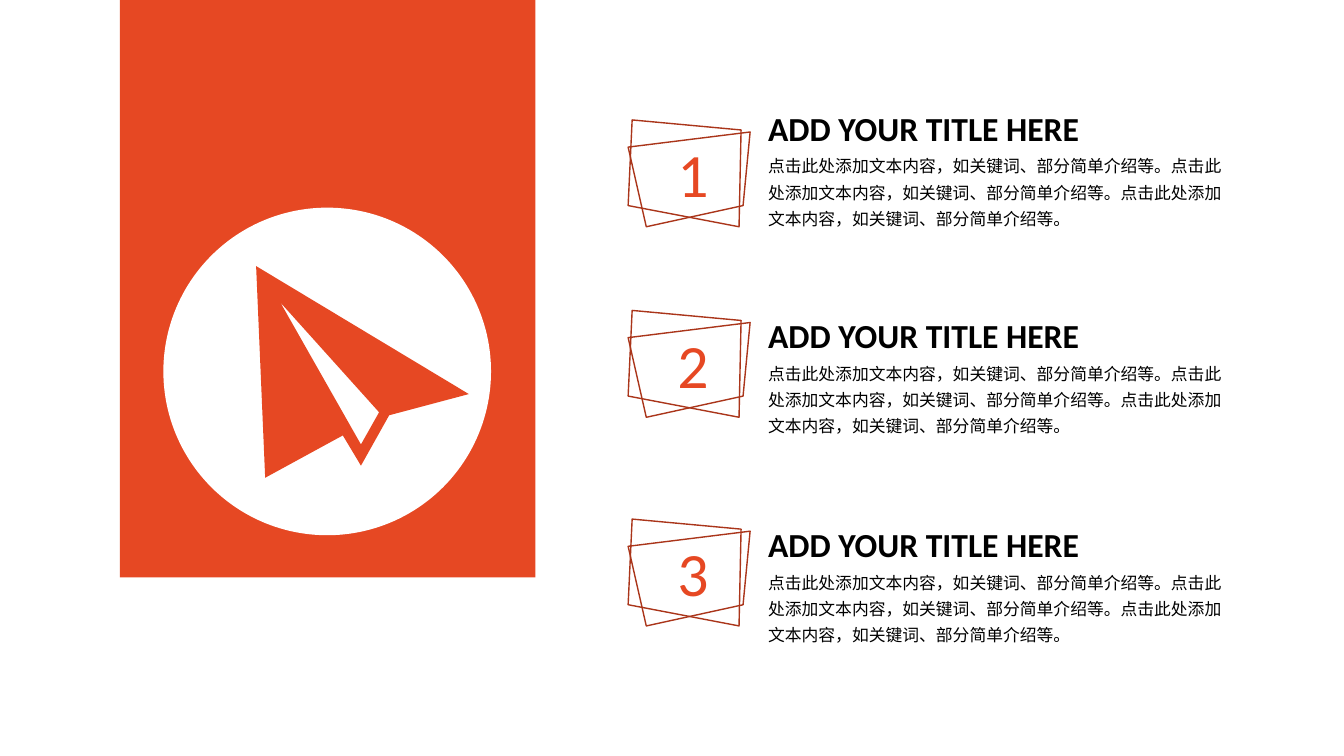
import pptx
import pptx.dml.color
import pptx.enum.shapes
import pptx.util

Inches = pptx.util.Inches
RGBColor = pptx.dml.color.RGBColor
MSO_SHAPE = pptx.enum.shapes.MSO_SHAPE

ORANGE = RGBColor(0xE6, 0x48, 0x23)
RUST = RGBColor(0xAA, 0x35, 0x1A)
WHITE = RGBColor(0xFF, 0xFF, 0xFF)
BLACK = RGBColor(0x00, 0x00, 0x00)

TITLE = "ADD YOUR TITLE HERE"
BODY = "点击此处添加文本内容，如关键词、部分简单介绍等。" * 3

# Outlines in inches; frame points are relative to the frame's top left
PLANE = [
    [(2.54, 2.64), (2.63, 4.74), (3.4, 4.32), (3.58, 4.62), (3.86, 4.12), (4.65, 3.91)],
    [(3.58, 4.41), (2.78, 3), (3.76, 4.09)],
]
FRAMES = [
    [(0.04, 0), (1.12, 0.1), (1.1, 1.06), (0, 0.85)],
    [(0, 0.27), (1.21, 0.12), (1.14, 0.85), (0.18, 1.06)],
]
FRAME_LEFT = 6.23

# Top of the frame and top of the heading for each item
ITEMS = [(1.19, 1.02), (3.08, 3.08), (5.15, 5.15)]


def add_filled(s, kind, left, top, width, height, color):
    sp = s.shapes.add_shape(kind, Inches(left), Inches(top), Inches(width), Inches(height))
    sp.shadow.inherit = False
    sp.fill.solid()
    sp.fill.fore_color.rgb = color
    sp.line.fill.background()


def add_outline(s, contours, fill=None, line=None, left=0, top=0):
    builder = None
    for contour in contours:
        points = [(Inches(left + x), Inches(top + y)) for x, y in contour]
        if builder is None:
            builder = s.shapes.build_freeform(*points[0])
        else:
            builder.move_to(*points[0])
        builder.add_line_segments(points[1:], close=True)
    sp = builder.convert_to_shape()
    sp.shadow.inherit = False
    if fill is None:
        sp.fill.background()
    else:
        sp.fill.solid()
        sp.fill.fore_color.rgb = fill
    if line is None:
        sp.line.fill.background()
    else:
        sp.line.color.rgb = line
        sp.line.width = pptx.util.Pt(1)


def add_text(s, text, left, top, width, height, size, color, bold=False, spacing=None):
    sp = s.shapes.add_textbox(Inches(left), Inches(top), Inches(width), Inches(height))
    tf = sp.text_frame
    tf.word_wrap = True
    p = tf.paragraphs[0]
    p.text = text
    p.line_spacing = spacing
    p.font.name = "Calibri"
    p.font.size = pptx.util.Pt(size)
    p.font.bold = bold
    p.font.color.rgb = color


def add_item(s, number, frame_top, heading_top):
    for frame in FRAMES:
        add_outline(s, [frame], line=RUST, left=FRAME_LEFT, top=frame_top)
    add_text(s, str(number), 6.62, frame_top + 0.11, 0.44, 0.84, 44, ORANGE)
    add_text(s, BODY, 7.52, heading_top + 0.42, 4.73, 0.89, 12, BLACK, spacing=1.3)
    add_text(s, TITLE, 7.52, heading_top, 4.42, 0.5, 24, BLACK, bold=True)


def main():
    prs = pptx.Presentation()
    prs.slide_width = Inches(13.33)
    prs.slide_height = Inches(7.5)
    s = prs.slides.add_slide(prs.slide_layouts[6])

    # Panel with the paper plane
    add_filled(s, MSO_SHAPE.RECTANGLE, 1.19, 0, 4.12, 5.73, ORANGE)
    add_filled(s, MSO_SHAPE.OVAL, 1.62, 2.06, 3.25, 3.25, WHITE)
    add_outline(s, PLANE, fill=ORANGE)

    # Numbered items
    for number, (frame_top, heading_top) in enumerate(ITEMS, 1):
        add_item(s, number, frame_top, heading_top)

    prs.save("out.pptx")


if __name__ == "__main__":
    main()
